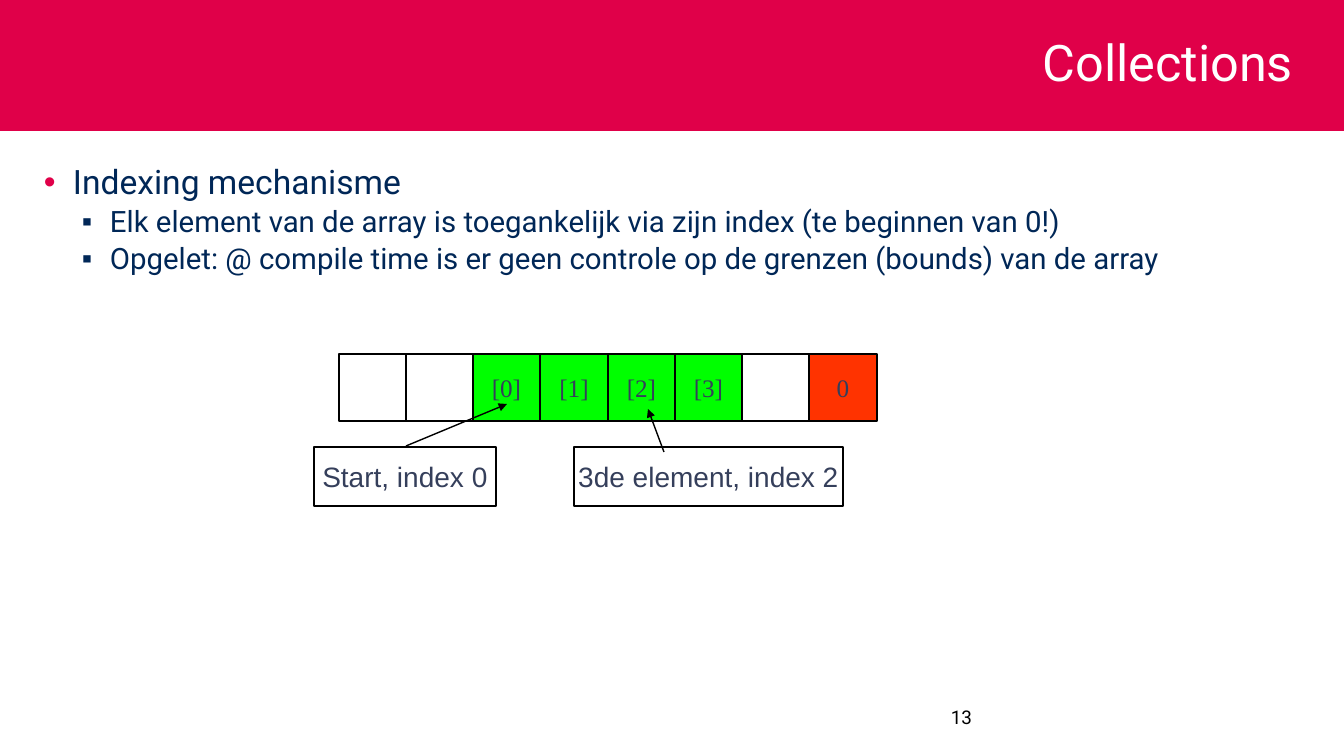
from dataclasses import dataclass
from typing import NamedTuple

from lxml import etree
from pptx import Presentation
from pptx.dml.color import RGBColor
from pptx.enum.shapes import MSO_CONNECTOR, MSO_SHAPE
from pptx.enum.text import MSO_ANCHOR, PP_ALIGN
from pptx.oxml.ns import qn
from pptx.util import Pt

RECTANGLE = MSO_SHAPE.RECTANGLE
STRAIGHT = MSO_CONNECTOR.STRAIGHT
TOP, MIDDLE = MSO_ANCHOR.TOP, MSO_ANCHOR.MIDDLE
LEFT, CENTER, RIGHT = PP_ALIGN.LEFT, PP_ALIGN.CENTER, PP_ALIGN.RIGHT
EMU_PER_PX = 914400 / 100.8


@dataclass(frozen=True)
class Theme:
    accent: str = "E00049"
    navy: str = "002757"
    slate: str = "353F5B"
    white: str = "FFFFFF"
    black: str = "000000"
    used: str = "00FF00"
    terminator: str = "FF3300"
    font: str = "Roboto"
    cell_font: str = "Times New Roman"
    label_font: str = "Arial"
    title_size: float = 36
    topic_size: float = 24
    detail_size: float = 21
    label_size: float = 20
    cell_size: float = 18
    number_size: float = 13.5
    line_width: float = 1
    line_spacing: float = 0.9


class Box(NamedTuple):
    left: int
    top: int
    width: int
    height: int


class Bullet(NamedTuple):
    mark: str
    color: str
    margin: int
    hanging: int


THEME = Theme()


def px(length):
    return round(length * EMU_PER_PX)


def rgb(color):
    return RGBColor.from_string(color)


def add_span(para, text, font, size, color):
    span = para.add_run()
    span.text = text
    span.font.name = font
    span.font.size = Pt(size)
    span.font.color.rgb = rgb(color)


def add_rectangle(page, box, fill, outlined=True):
    shape = page.shapes.add_shape(RECTANGLE, *map(px, box))
    shape.shadow.inherit = False
    shape.fill.solid()
    shape.fill.fore_color.rgb = rgb(fill)
    if outlined:
        shape.line.color.rgb = rgb(THEME.black)
        shape.line.width = Pt(THEME.line_width)
    else:
        shape.line.fill.background()
    return shape


def add_labelled_rectangle(page, box, fill, text, font, size):
    shape = add_rectangle(page, box, fill)
    if text:
        frame = shape.text_frame
        frame.word_wrap = False
        frame.vertical_anchor = MIDDLE
        para = frame.paragraphs[0]
        para.alignment = CENTER
        add_span(para, text, font, size, THEME.slate)


def add_text_frame(page, box, anchor=TOP):
    frame = page.shapes.add_textbox(*map(px, box)).text_frame
    frame.word_wrap = True
    frame.vertical_anchor = anchor
    return frame


def set_bullet(para, bullet):
    properties = para._p.get_or_add_pPr()
    properties.set("marL", str(px(bullet.margin)))
    properties.set("indent", str(-px(bullet.hanging)))
    color = etree.SubElement(properties, qn("a:buClr"))
    etree.SubElement(color, qn("a:srgbClr"), val=bullet.color)
    etree.SubElement(properties, qn("a:buFont"), typeface="Arial")
    etree.SubElement(properties, qn("a:buChar"), char=bullet.mark)


def add_arrow(page, start, end):
    arrow = page.shapes.add_connector(STRAIGHT, *map(px, start + end))
    arrow.line.color.rgb = rgb(THEME.black)
    arrow.line.width = Pt(THEME.line_width)
    etree.SubElement(arrow.line._get_or_add_ln(), qn("a:tailEnd"), type="triangle")
    etree.SubElement(arrow._element.spPr, qn("a:effectLst"))


def add_header(page, box, title):
    add_rectangle(page, box, THEME.accent, outlined=False)
    title_box = Box(box.left + 241, box.top, box.width - 282, box.height)
    para = add_text_frame(page, title_box, MIDDLE).paragraphs[0]
    para.alignment = RIGHT
    para.line_spacing = THEME.line_spacing
    add_span(para, title, THEME.font, THEME.title_size, THEME.white)


def add_bullets(page, box, topic, details):
    frame = add_text_frame(page, box)
    para = frame.paragraphs[0]
    set_bullet(para, Bullet("•", THEME.accent, 29, 29))
    para.line_spacing = THEME.line_spacing
    add_span(para, topic, THEME.font, THEME.topic_size, THEME.navy)
    for detail in details:
        para = frame.add_paragraph()
        para.level = 1
        set_bullet(para, Bullet("▪", THEME.navy, 66, 28))
        para.line_spacing = THEME.line_spacing
        para.space_before = Pt(3.8)
        add_span(para, detail, THEME.font, THEME.detail_size, THEME.navy)


def add_array(page, box, cells):
    edges = [box.left + box.width * index // len(cells) for index in range(len(cells) + 1)]
    for left, right, (text, fill) in zip(edges, edges[1:], cells):
        cell = Box(left, box.top, right - left, box.height)
        add_labelled_rectangle(page, cell, fill, text, THEME.cell_font, THEME.cell_size)


def add_callout(page, box, text, tail, head):
    add_labelled_rectangle(page, box, THEME.white, text, THEME.label_font, THEME.label_size)
    start, end = ((box.left + across, box.top + down) for across, down in (tail, head))
    add_arrow(page, start, end)


def add_page_number(page, box, number):
    para = add_text_frame(page, box).paragraphs[0]
    para.alignment = LEFT
    add_span(para, number, THEME.font, THEME.number_size, THEME.black)


def add_array_page(deck):
    page = deck.slides.add_slide(deck.slide_layouts[6])
    add_header(page, Box(0, 0, 1344, 131), "Collections")
    add_bullets(page, Box(34, 161, 1269, 562), "Indexing mechanisme", [
        "Elk element van de array is toegankelijk via zijn index (te beginnen van 0!)",
        "Opgelet: @ compile time is er geen controle op de grenzen (bounds) van de array",
    ])
    add_page_number(page, Box(941, 701, 235, 40), "13")
    blank = ("", THEME.white)
    elements = [(f"[{index}]", THEME.used) for index in range(4)]
    cells = [blank, blank, *elements, blank, ("0", THEME.terminator)]
    add_array(page, Box(339, 354, 538, 67), cells)
    add_callout(page, Box(314, 447, 182, 59), "Start, index 0", (92, -1), (193, -43))
    add_callout(page, Box(574, 447, 269, 59), "3de element, index 2", (90, 5), (74, -38))


def main():
    deck = Presentation()
    deck.slide_width, deck.slide_height = px(1344), px(756)
    add_array_page(deck)
    deck.save("out.pptx")


if __name__ == "__main__":
    main()
